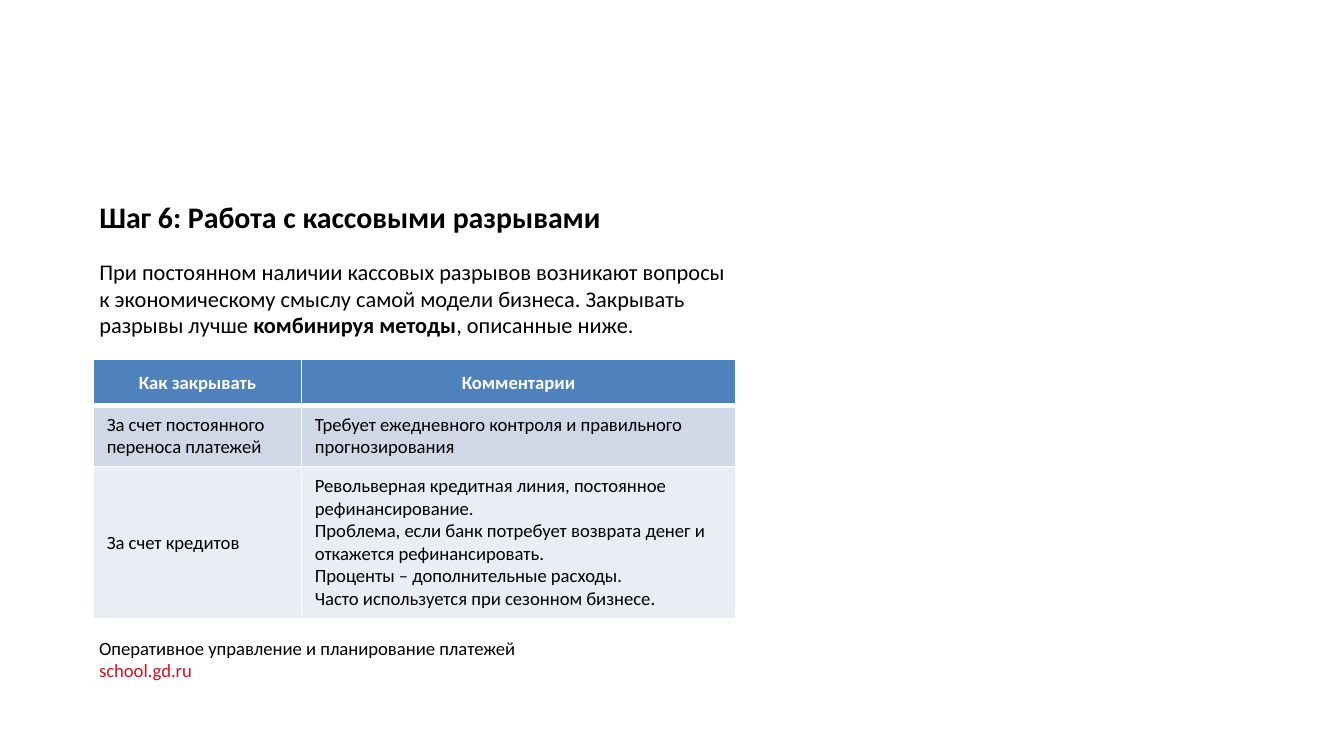
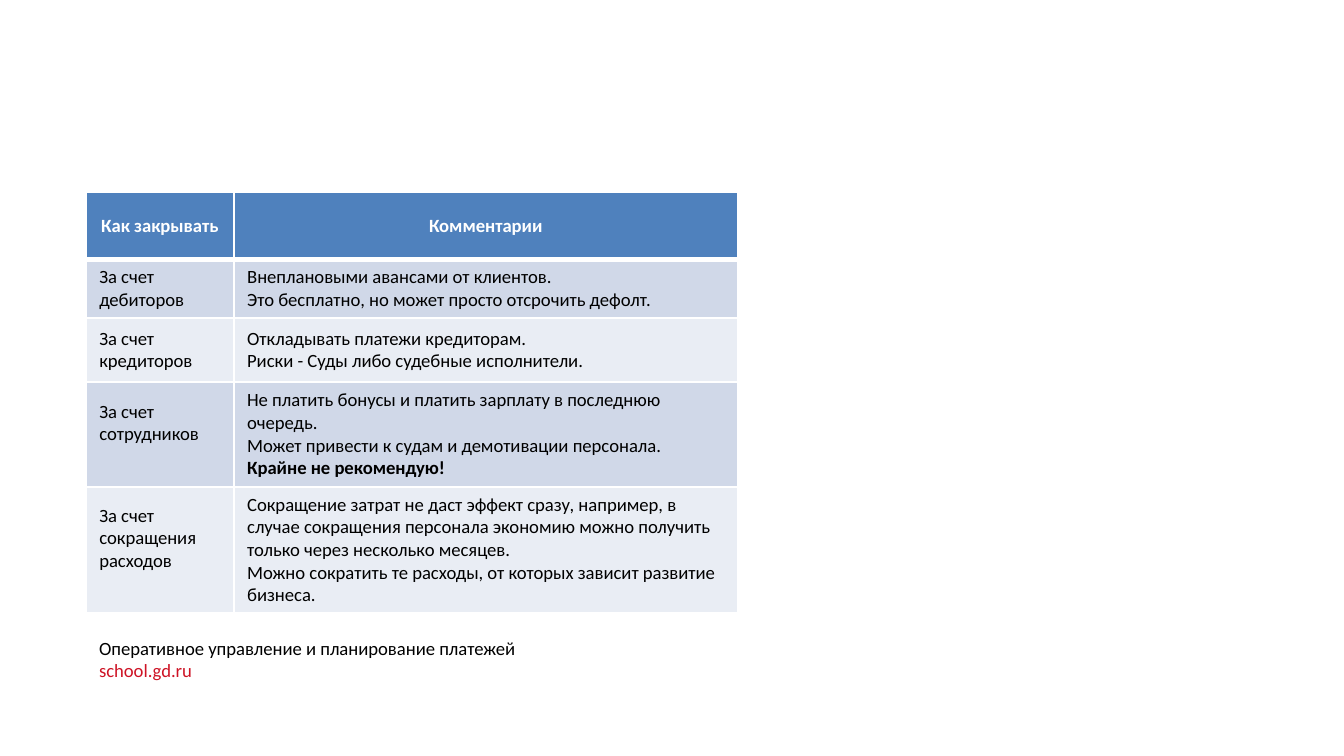
from lxml import etree
from pptx import Presentation
from pptx import oxml
from pptx.dml.color import RGBColor
from pptx.enum import text
from pptx.oxml import ns
from pptx.util import Pt

# Shared style
FONT = "Calibri"
BLACK = RGBColor(0x00, 0x00, 0x00)
WHITE = RGBColor(0xFF, 0xFF, 0xFF)
RED = RGBColor(0xCE, 0x13, 0x25)
HEADER_BLUE = RGBColor(0x4F, 0x81, 0xBD)
BANDS = (RGBColor(0xD0, 0xD8, 0xE8), RGBColor(0xE9, 0xED, 0xF4))

LEFT = 46
SMALL = 10
LINE_HEIGHT = 12
THIN, THICK = 1, 3

TITLE_LAYOUT, BLANK_LAYOUT = 1, 6
HEADINGS = ("Как закрывать", "Комментарии")


def style(para, size, color=BLACK, bold=False, align=text.PP_ALIGN.LEFT):
    para.alignment = align
    para.space_before = Pt(0)
    font = para.font
    font.name, font.size, font.bold = FONT, Pt(size), bold
    font.color.rgb = color


def add_spans(para, marked):
    """Fill a paragraph; pieces between asterisks are bold."""
    for index, piece in enumerate(marked.split("*")):
        if piece:
            span = para.add_run()
            span.text = piece
            if index % 2:
                span.font.bold = True


def write(frame, lines, size, **look):
    for index, line in enumerate(lines):
        para = frame.add_paragraph() if index else frame.paragraphs[0]
        style(para, size, **look)
        add_spans(para, line)


def fill_placeholder(box, place, line, size, bold=False):
    box.left, box.top, box.width, box.height = map(Pt, place)
    frame = box.text_frame
    frame.auto_size = text.MSO_AUTO_SIZE.NONE
    frame.vertical_anchor = text.MSO_ANCHOR.TOP
    properties = frame.paragraphs[0]._p.get_or_add_pPr()
    properties.set("marL", "0")
    properties.set("indent", "0")
    etree.SubElement(properties, ns.qn("a:buNone"))
    write(frame, [line], size, bold=bold)


def add_footer(page):
    box = page.shapes.add_textbox(Pt(LEFT), Pt(337.5), Pt(241), Pt(31.5))
    frame = box.text_frame
    frame.word_wrap = False
    write(frame, ["Оперативное управление и планирование платежей",
                  "school.gd.ru"], SMALL)
    frame.paragraphs[1].font.color.rgb = RED


def set_borders(cell, top, bottom):
    properties = cell._tc.get_or_add_tcPr()
    for side, width in (("L", THIN), ("R", THIN), ("T", top), ("B", bottom)):
        properties.append(oxml.parse_xml(
            f'<a:ln{side} {ns.nsdecls("a")} w="{Pt(width)}"><a:solidFill>'
            f'<a:srgbClr val="{WHITE}"/></a:solidFill></a:ln{side}>'))


def add_methods_table(page, left, top, widths, heights, methods, raised=()):
    """Draw a header and banded rows; raised rows lift the first cell half a line."""
    rows = [([HEADINGS[0]], [HEADINGS[1]])]
    rows += [([method], comments) for method, comments in methods]
    frame = page.shapes.add_table(len(rows), len(widths), Pt(left), Pt(top),
                                  Pt(sum(widths)), Pt(sum(heights)))
    table = frame.table
    table.horz_banding = False
    for column, width in zip(table.columns, widths):
        column.width = Pt(width)
    for number, (row, height) in enumerate(zip(table.rows, heights)):
        row.height = Pt(height)
        header = number == 0
        for cell, lines in zip(row.cells, rows[number]):
            set_borders(cell, THICK if number == 1 else THIN,
                        THICK if header else THIN)
            cell.fill.solid()
            cell.fill.fore_color.rgb = (HEADER_BLUE if header
                                        else BANDS[(number - 1) % 2])
            cell.vertical_anchor = text.MSO_ANCHOR.MIDDLE
            if header:
                write(cell.text_frame, lines, SMALL, color=WHITE, bold=True,
                      align=text.PP_ALIGN.CENTER)
            else:
                write(cell.text_frame, lines, SMALL)
        if number in raised:
            row.cells[0].margin_bottom = Pt(3.6 + LINE_HEIGHT)


def add_page(deck, layout):
    page = deck.slides.add_slide(deck.slide_layouts[layout])
    add_footer(page)
    return page


def build_cash_gaps(deck):
    page = add_page(deck, TITLE_LAYOUT)
    title, body = page.placeholders
    fill_placeholder(body, (LEFT, 134.5, 352, 51),
                     "При постоянном наличии кассовых разрывов возникают вопросы "
                     "к экономическому смыслу самой модели бизнеса. Закрывать "
                     "разрывы лучше *комбинируя методы*, описанные ниже.", 12)
    fill_placeholder(title, (LEFT, 103, 379.5, 31),
                     "Шаг 6: Работа с кассовыми разрывами", 16, bold=True)
    add_methods_table(page, 50, 192.5, (111.5, 232.5), (25, 32.5, 81.5), [
        ("За счет постоянного переноса платежей",
         ["Требует ежедневного контроля и правильного прогнозирования"]),
        ("За счет кредитов",
         ["Револьверная кредитная линия, постоянное рефинансирование.",
          "Проблема, если банк потребует возврата денег и откажется "
          "рефинансировать.",
          "Проценты – дополнительные расходы.",
          "Часто используется при сезонном бизнесе."]),
    ])


def build_more_methods(deck):
    page = add_page(deck, BLANK_LAYOUT)
    add_methods_table(page, LEFT, 103, (79.2, 270), (36, 29.5, 34.5, 56, 63.5), [
        ("За счет дебиторов",
         ["Внеплановыми авансами от клиентов.",
          "Это бесплатно, но может просто отсрочить дефолт."]),
        ("За счет кредиторов",
         ["Откладывать платежи кредиторам.",
          "Риски - Суды либо судебные исполнители."]),
        ("За счет сотрудников",
         ["Не платить бонусы и платить зарплату в последнюю очередь.",
          "Может привести к судам и демотивации персонала.",
          "*Крайне не рекомендую!*"]),
        ("За счет сокращения расходов",
         ["Сокращение затрат не даст эффект сразу, например, в случае "
          "сокращения персонала экономию можно получить только через "
          "несколько месяцев.",
          "Можно сократить те расходы, от которых зависит развитие бизнеса."]),
    ], raised=(3, 4))


def main():
    deck = Presentation()
    deck.slide_width, deck.slide_height = Pt(720), Pt(405)
    build_cash_gaps(deck)
    build_more_methods(deck)
    deck.save("out.pptx")


if __name__ == "__main__":
    main()
